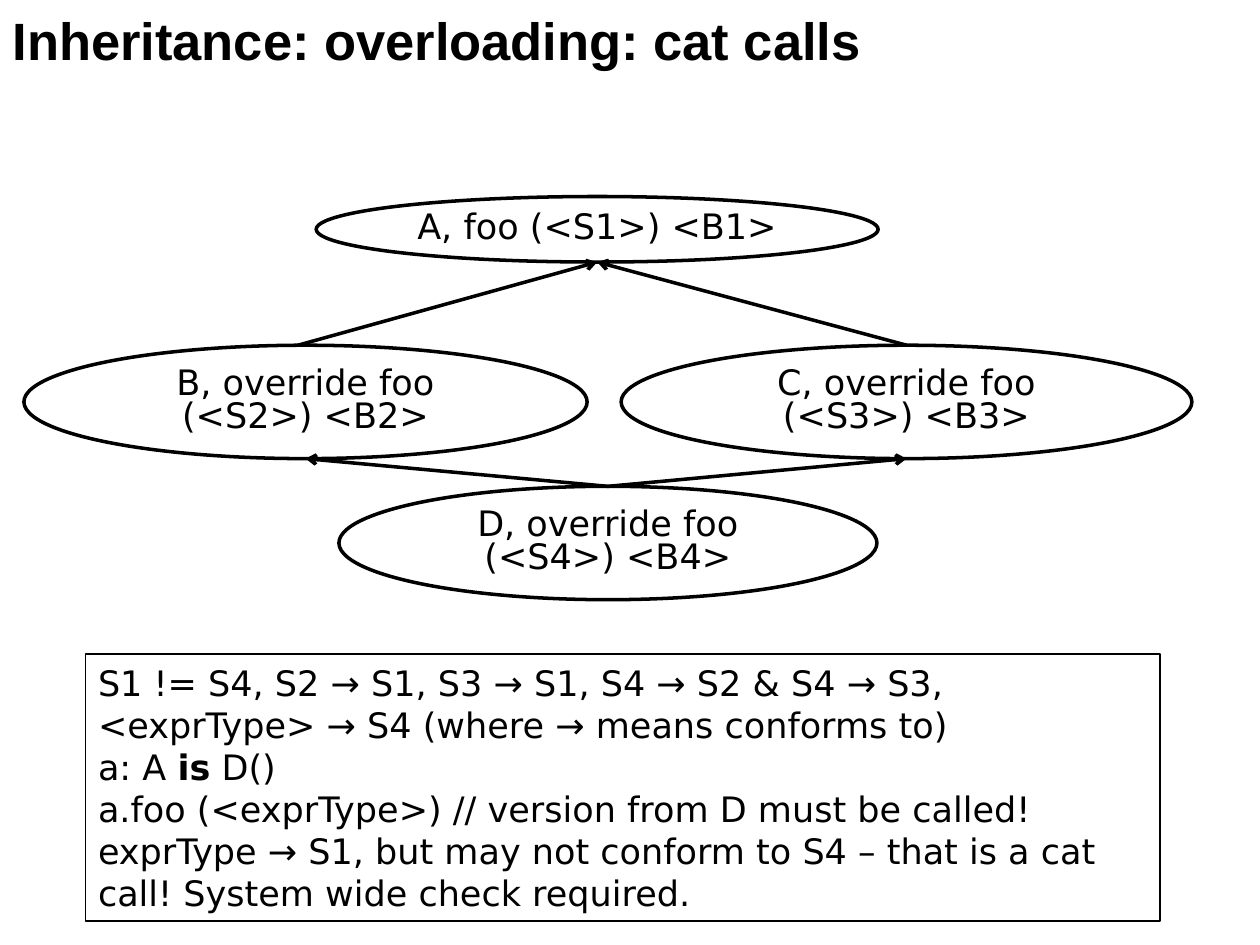
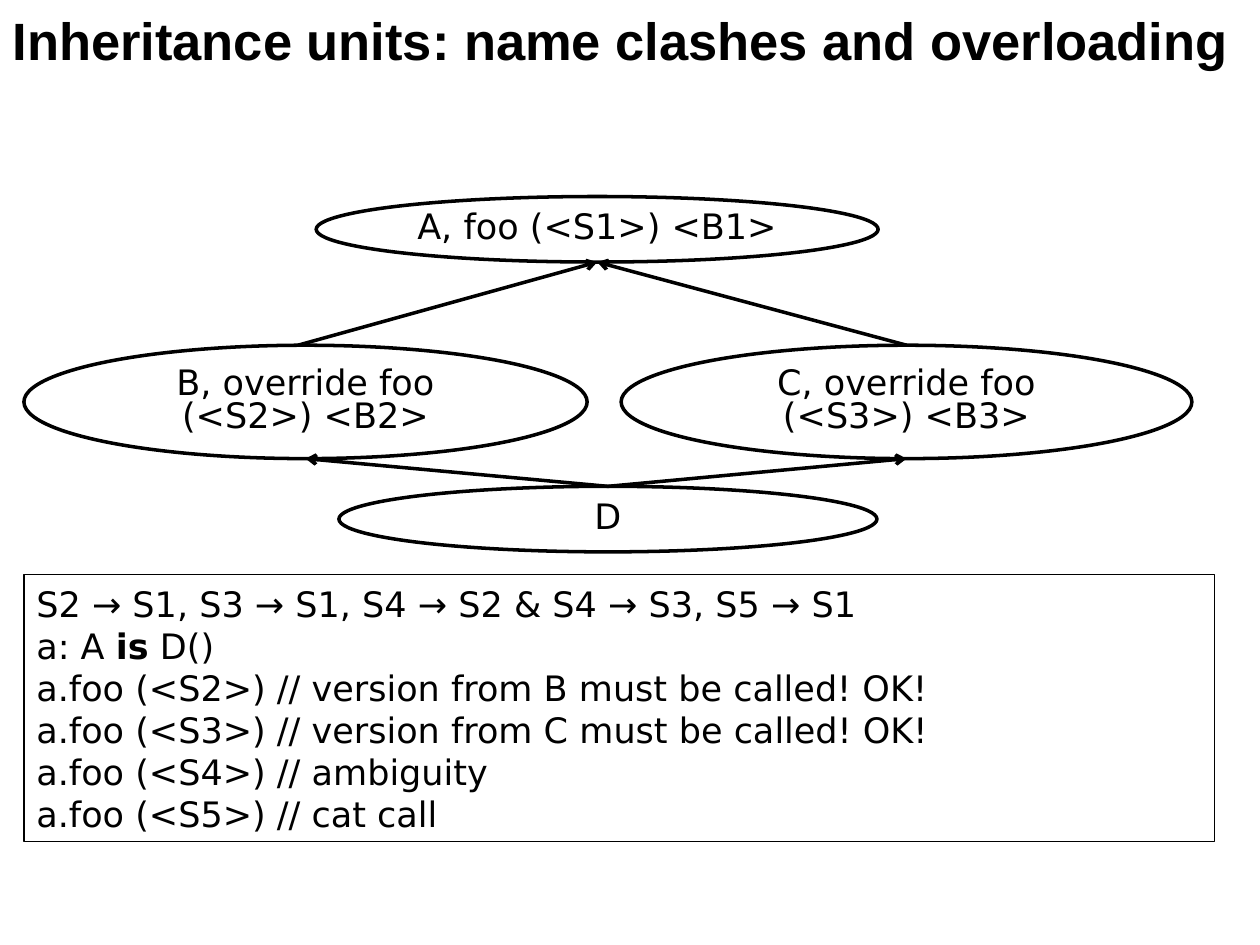
import pptx
import pptx.dml.color
import pptx.enum.shapes
import pptx.enum.text
import pptx.oxml.ns
import pptx.util
from lxml import etree

THEME = {
    "ink": pptx.dml.color.RGBColor(0, 0, 0),
    "title": {"name": "Arial", "size": pptx.util.Pt(30), "bold": True},
    "body": {"name": "DejaVu Sans", "size": pptx.util.Pt(20), "bold": False},
    "class_line": pptx.util.Pt(2),
    "rules_line": pptx.util.Pt(1),
}
SHAPE = pptx.enum.shapes.MSO_SHAPE
ALIGN = pptx.enum.text.PP_ALIGN
ANCHOR = pptx.enum.text.MSO_ANCHOR

deck = pptx.Presentation()
deck.slide_width = pptx.util.Inches(10)
deck.slide_height = pptx.util.Inches(7.5)
CELL = deck.slide_width / 100  # the grid has 100 columns and 75 rows


def write(frame, lines, style, align=ALIGN.LEFT, spacing=1.0):
    """Fill a text frame; words between asterisks become bold."""
    frame_format = {
        "word_wrap": True,
        "auto_size": pptx.enum.text.MSO_AUTO_SIZE.NONE,
        "vertical_anchor": ANCHOR.MIDDLE,
    }
    for name, value in frame_format.items():
        setattr(frame, name, value)
    for number, line in enumerate(lines):
        para = frame.add_paragraph() if number else frame.paragraphs[0]
        para.alignment = align
        para.line_spacing = spacing
        for index, words in enumerate(line.split("*")):
            span = para.add_run()
            span.text = words
            for name, value in THEME[style].items():
                setattr(span.font, name, value)
            span.font.color.rgb = THEME["ink"]
            if index % 2:
                span.font.bold = True


def outline(page, kind, area, width):
    """Add an unfilled shape at an area given in grid cells."""
    shape = page.shapes.add_shape(kind, *(round(part * CELL) for part in area))
    shape.shadow.inherit = False
    shape.fill.background()
    shape.line.color.rgb = THEME["ink"]
    shape.line.width = width
    return shape


# Class areas as left, top, width, height in grid cells
CLASS_AREAS = {
    "B": (1.9, 27.4, 44.7, 9),
    "C": (49.3, 27.4, 45.3, 9),
    "D": (26.9, 38.6, 42.7, 9),
    "A": (25.1, 15.6, 44.6, 5.2),
}
# Child, parent, and shift of the start from the child's centre
INHERITS = [("D", "B", 0), ("D", "C", 0), ("B", "A", -0.6), ("C", "A", 0)]
SHARED_LABELS = {
    "A": "A, foo (<S1>) <B1>",
    "B": "B, override foo (<S2>) <B2>",
    "C": "C, override foo (<S3>) <B3>",
}

PAGES = [
    {
        "title": "Inheritance: overloading: cat calls",
        "d_label": "D, override foo (<S4>) <B4>",
        "d_height": 9,
        "rules_area": (6.8, 51.9, 85.3, 21.2),
        "rules": [
            "S1 != S4, S2 → S1, S3 → S1, S4 → S2 & S4 → S3, "
            "<exprType> → S4 (where → means conforms to)",
            "a: A *is* D()",
            "a.foo (<exprType>) // version from D must be called!",
            "exprType → S1, but may not conform to S4 – that is a cat call! "
            "System wide check required.",
        ],
    },
    {
        "title": "Inheritance units: name clashes and overloading",
        "d_label": "D",
        "d_height": 5.2,
        "rules_area": (1.9, 45.6, 94.5, 21.2),
        "rules": [
            "S2 → S1, S3 → S1, S4 → S2 & S4 → S3, S5 → S1",
            "a: A *is* D()",
            "a.foo (<S2>) // version from B must be called! OK!",
            "a.foo (<S3>) // version from C must be called! OK!",
            "a.foo (<S4>) // ambiguity",
            "a.foo (<S5>) // cat call",
        ],
    },
]

for content in PAGES:
    page = deck.slides.add_slide(deck.slide_layouts[5])
    title = page.shapes.title
    title_place = {"left": 0, "top": 0.1, "width": 100, "height": 6.1}
    for name, value in title_place.items():
        setattr(title, name, round(value * CELL))
    write(title.text_frame, [content["title"]], "title")

    areas = {**CLASS_AREAS, "D": (*CLASS_AREAS["D"][:3], content["d_height"])}
    labels = {**SHARED_LABELS, "D": content["d_label"]}
    ellipses = {}
    for name, area in areas.items():
        ellipse = outline(page, SHAPE.OVAL, area, THEME["class_line"])
        write(ellipse.text_frame, [labels[name]], "body", ALIGN.CENTER, 0.8)
        ellipses[name] = ellipse

    for child_name, parent_name, shift in INHERITS:
        child, parent = ellipses[child_name], ellipses[parent_name]
        arrow = page.shapes.add_connector(
            pptx.enum.shapes.MSO_CONNECTOR.STRAIGHT,
            round(child.left + child.width / 2 + shift * CELL),
            child.top,
            round(parent.left + parent.width / 2),
            parent.top + parent.height,
        )
        arrow.line.color.rgb = THEME["ink"]
        arrow.line.width = THEME["class_line"]
        tip = etree.SubElement(arrow.line._get_or_add_ln(), pptx.oxml.ns.qn("a:tailEnd"))
        tip.set("type", "arrow")
        etree.SubElement(arrow._element.spPr, pptx.oxml.ns.qn("a:effectLst"))

    rules = outline(page, SHAPE.RECTANGLE, content["rules_area"], THEME["rules_line"])
    write(rules.text_frame, content["rules"], "body")

deck.save("out.pptx")
